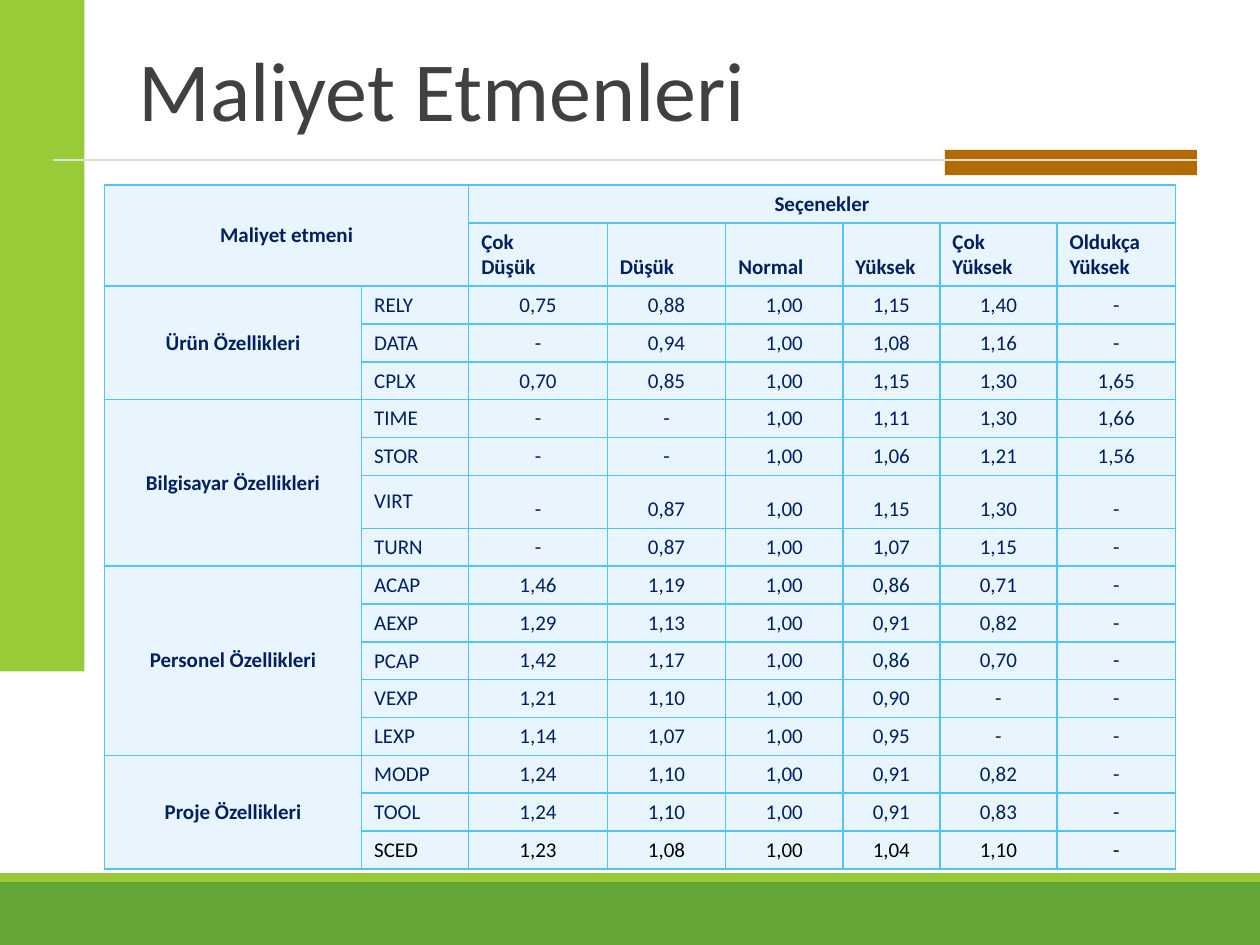
import lxml.etree
import pptx
import pptx.dml.color
import pptx.enum.shapes
import pptx.enum.text
import pptx.oxml.ns
import pptx.util

Inches = pptx.util.Inches
Pt = pptx.util.Pt
qn = pptx.oxml.ns.qn
ALIGN = pptx.enum.text.PP_ALIGN
ANCHOR = pptx.enum.text.MSO_ANCHOR

COLUMN_WIDTHS = [2.04, 0.85, 1.1, 0.94, 0.93, 0.77, 0.93, 0.94]
HEADER_HEIGHTS = [0.3, 0.5]
OPTIONS = ["Çok\nDüşük", "Düşük", "Normal", "Yüksek", "Çok\nYüksek", "Oldukça\nYüksek"]
GROUPS = {
    "Ürün Özellikleri": [
        "RELY 0,75 0,88 1,00 1,15 1,40 -",
        "DATA - 0,94 1,00 1,08 1,16 -",
        "CPLX 0,70 0,85 1,00 1,15 1,30 1,65",
    ],
    "Bilgisayar Özellikleri": [
        "TIME - - 1,00 1,11 1,30 1,66",
        "STOR - - 1,00 1,06 1,21 1,56",
        "VIRT - 0,87 1,00 1,15 1,30 -",
        "TURN - 0,87 1,00 1,07 1,15 -",
    ],
    "Personel Özellikleri": [
        "ACAP 1,46 1,19 1,00 0,86 0,71 -",
        "AEXP 1,29 1,13 1,00 0,91 0,82 -",
        "PCAP 1,42 1,17 1,00 0,86 0,70 -",
        "VEXP 1,21 1,10 1,00 0,90 - -",
        "LEXP 1,14 1,07 1,00 0,95 - -",
    ],
    "Proje Özellikleri": [
        "MODP 1,24 1,10 1,00 0,91 0,82 -",
        "TOOL 1,24 1,10 1,00 0,91 0,83 -",
        "SCED 1,23 1,08 1,00 1,04 1,10 -",
    ],
}


def color(value):
    return pptx.dml.color.RGBColor.from_string(value)


class Painter:
    font = "Calibri"
    title_color = "404040"
    text_color = "002060"
    cell_fill = "E9F5FE"
    border = "51C3F9"

    def __init__(self, page):
        self.page = page

    def set_text(self, para, text, size, ink, bold=False, align=ALIGN.LEFT):
        para.text = text
        para.alignment = align
        para.font.name = self.font
        para.font.size = Pt(size)
        para.font.bold = bold
        para.font.color.rgb = color(ink)

    def bar(self, left, top, width, height, fill):
        shape = self.page.shapes.add_shape(
            pptx.enum.shapes.MSO_SHAPE.RECTANGLE,
            Inches(left), Inches(top), Inches(width), Inches(height))
        shape.shadow.inherit = False
        shape.fill.solid()
        shape.fill.fore_color.rgb = color(fill)
        shape.line.fill.background()

    def rule(self, left, right, top, ink, weight):
        line = self.page.shapes.add_connector(
            pptx.enum.shapes.MSO_CONNECTOR.STRAIGHT,
            Inches(left), Inches(top), Inches(right), Inches(top))
        line.line.color.rgb = color(ink)
        line.line.width = Pt(weight)
        properties = line._element.find(qn("p:spPr"))
        lxml.etree.SubElement(properties, qn("a:effectLst"))

    def title(self, text, left, top, width, height):
        box = self.page.shapes.add_textbox(
            Inches(left), Inches(top), Inches(width), Inches(height))
        frame = box.text_frame
        frame.word_wrap = True
        frame.vertical_anchor = ANCHOR.BOTTOM
        para = frame.paragraphs[0]
        self.set_text(para, text, 48, self.title_color)
        para.line_spacing = 0.85

    def table(self, left, top, widths, heights):
        frame = self.page.shapes.add_table(
            len(heights), len(widths), Inches(left), Inches(top),
            Inches(sum(widths)), Inches(sum(heights)))
        table = frame.table
        table.first_row = False
        table.horz_banding = False
        for column, width in zip(table.columns, widths):
            column.width = Inches(width)
        for row, height in zip(table.rows, heights):
            row.height = Inches(height)
        for cell in table.iter_cells():
            self.style_cell(cell)
        return table

    def style_cell(self, cell):
        properties = cell._tc.get_or_add_tcPr()
        for side in ("a:lnL", "a:lnR", "a:lnT", "a:lnB"):
            edge = lxml.etree.SubElement(properties, qn(side), w=str(Pt(1)))
            paint = lxml.etree.SubElement(edge, qn("a:solidFill"))
            lxml.etree.SubElement(paint, qn("a:srgbClr"), val=self.border)
        cell.fill.solid()
        cell.fill.fore_color.rgb = color(self.cell_fill)

    def fill_cell(self, cell, text, bold=False, align=ALIGN.CENTER,
                  anchor=ANCHOR.BOTTOM, ink=text_color):
        cell.vertical_anchor = anchor
        self.set_text(cell.text_frame.paragraphs[0], text, 12, ink, bold, align)


def fill_headers(painter, table):
    table.cell(0, 0).merge(table.cell(1, 1))
    table.cell(0, 2).merge(table.cell(0, len(COLUMN_WIDTHS) - 1))
    painter.fill_cell(table.cell(0, 0), "Maliyet etmeni", bold=True, anchor=ANCHOR.MIDDLE)
    painter.fill_cell(table.cell(0, 2), "Seçenekler", bold=True)
    for column, option in enumerate(OPTIONS, start=2):
        painter.fill_cell(table.cell(1, column), option, bold=True, align=ALIGN.LEFT)


def fill_groups(painter, table):
    row = len(HEADER_HEIGHTS)
    for group, factors in GROUPS.items():
        table.cell(row, 0).merge(table.cell(row + len(factors) - 1, 0))
        painter.fill_cell(table.cell(row, 0), group, bold=True, anchor=ANCHOR.MIDDLE)
        for row, factor in enumerate(factors, start=row):
            name, *values = factor.split()
            ink = "000000" if name == "SCED" else painter.text_color
            painter.fill_cell(table.cell(row, 1), name, align=ALIGN.LEFT,
                              anchor=ANCHOR.MIDDLE, ink=ink)
            for column, value in enumerate(values, start=2):
                painter.fill_cell(table.cell(row, column), value, ink=ink)
        row += 1


def main():
    deck = pptx.Presentation()
    deck.slide_width = Inches(10)
    deck.slide_height = Inches(7.5)
    painter = Painter(deck.slides.add_slide(deck.slide_layouts[6]))

    painter.bar(0, 7, 10, 0.5, "63A537")
    painter.bar(0, 6.93, 10, 0.07, "99CB38")
    painter.bar(0, 0, 0.67, 5.33, "99CB38")
    painter.bar(7.5, 1.19, 2, 0.2, "B26B02")
    painter.rule(0.42, 9.5, 1.27, "E2DFCC", 1.5)
    painter.title("Maliyet Etmenleri", 1, 0.3, 8.5, 0.85)

    factor_heights = [0.42 if factor.startswith("VIRT") else 0.3
                      for factors in GROUPS.values() for factor in factors]
    table = painter.table(0.83, 1.47, COLUMN_WIDTHS, HEADER_HEIGHTS + factor_heights)
    fill_headers(painter, table)
    fill_groups(painter, table)
    deck.save("out.pptx")


if __name__ == "__main__":
    main()
